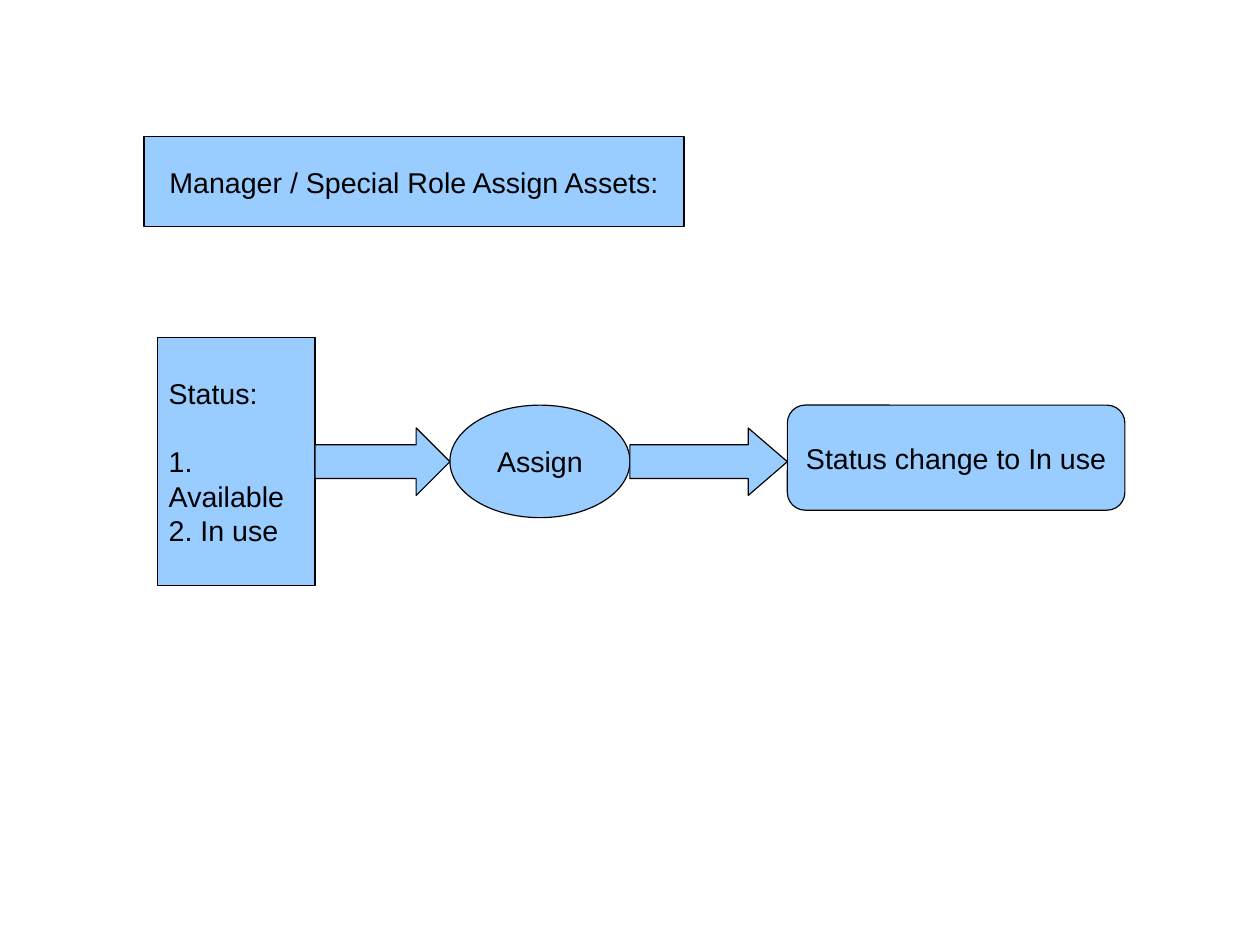
from pptx import Presentation
from pptx.dml.color import RGBColor
from pptx.enum.shapes import MSO_SHAPE
from pptx.enum.text import MSO_ANCHOR, PP_ALIGN
from pptx.util import Pt

COLORS = {"fill": "99CCFF", "ink": "000000"}
FONT = {"name": "Arial", "size": Pt(18)}
FRAME = {
    "word_wrap": True,
    "vertical_anchor": MSO_ANCHOR.MIDDLE,
    "margin_left": Pt(7.2),
    "margin_right": Pt(7.2),
    "margin_top": Pt(3.6),
    "margin_bottom": Pt(3.6),
}
LINE_HEIGHT = 21.6


def set_all(target, values):
    for name, value in values.items():
        setattr(target, name, value)


def add_block(slide, kind, box, lines=(), align=PP_ALIGN.CENTER, adj=()):
    """Draw one outlined blue shape with a paragraph for each line."""
    sp = slide.shapes.add_shape(kind, *map(Pt, box))
    sp.shadow.inherit = False
    for i, value in enumerate(adj):
        sp.adjustments[i] = value
    sp.fill.solid()
    sp.fill.fore_color.rgb = RGBColor.from_string(COLORS["fill"])
    sp.line.color.rgb = RGBColor.from_string(COLORS["ink"])
    sp.line.width = Pt(0)
    tf = sp.text_frame
    set_all(tf, FRAME)
    for i, line in enumerate(lines):
        p = tf.paragraphs[0] if i == 0 else tf.add_paragraph()
        p.alignment = align
        r = p.add_run()
        r.text = line
        set_all(r.font, FONT)
        r.font.color.rgb = RGBColor.from_string(COLORS["ink"])
    return sp


def add_title(slide, box):
    add_block(slide, MSO_SHAPE.FLOWCHART_PROCESS, box,
              ["Manager / Special Role Assign Assets:"])


def add_flow(slide, left, top):
    """Place the steps and arrows edge to edge, from left to right."""
    status = ["Status:", "1. Available", "2. In use"]
    steps = [  # kind, offset from top, width, height, options
        (MSO_SHAPE.FLOWCHART_PROCESS, 0, 99.2, 156,
         {"lines": status, "align": PP_ALIGN.LEFT}),
        (MSO_SHAPE.RIGHT_ARROW, 57, 85, 42.5, {"adj": (0.5, 0.5)}),
        (MSO_SHAPE.OVAL, 42.6, 113.4, 70.9, {"lines": ["Assign"]}),
        (MSO_SHAPE.RIGHT_ARROW, 57, 99.2, 42.5, {"adj": (0.5, 0.58)}),
        (MSO_SHAPE.ROUNDED_RECTANGLE, 42.6, 212.6, 66.2,
         {"lines": ["Status change to In use"], "adj": (0.17,)}),
    ]
    blocks = []
    for kind, offset, width, height, options in steps:
        box = (left, top + offset, width, height)
        blocks.append(add_block(slide, kind, box, **options))
        left += width
    blocks[0].text_frame.paragraphs[1].space_before = Pt(LINE_HEIGHT)


def main():
    prs = Presentation()
    set_all(prs, {"slide_width": Pt(793.7), "slide_height": Pt(595.3)})
    slide = prs.slides.add_slide(prs.slide_layouts[6])
    add_title(slide, (90.7, 86.2, 340.2, 56.7))
    add_flow(slide, 99.2, 212.6)
    prs.save("out.pptx")


if __name__ == "__main__":
    main()
